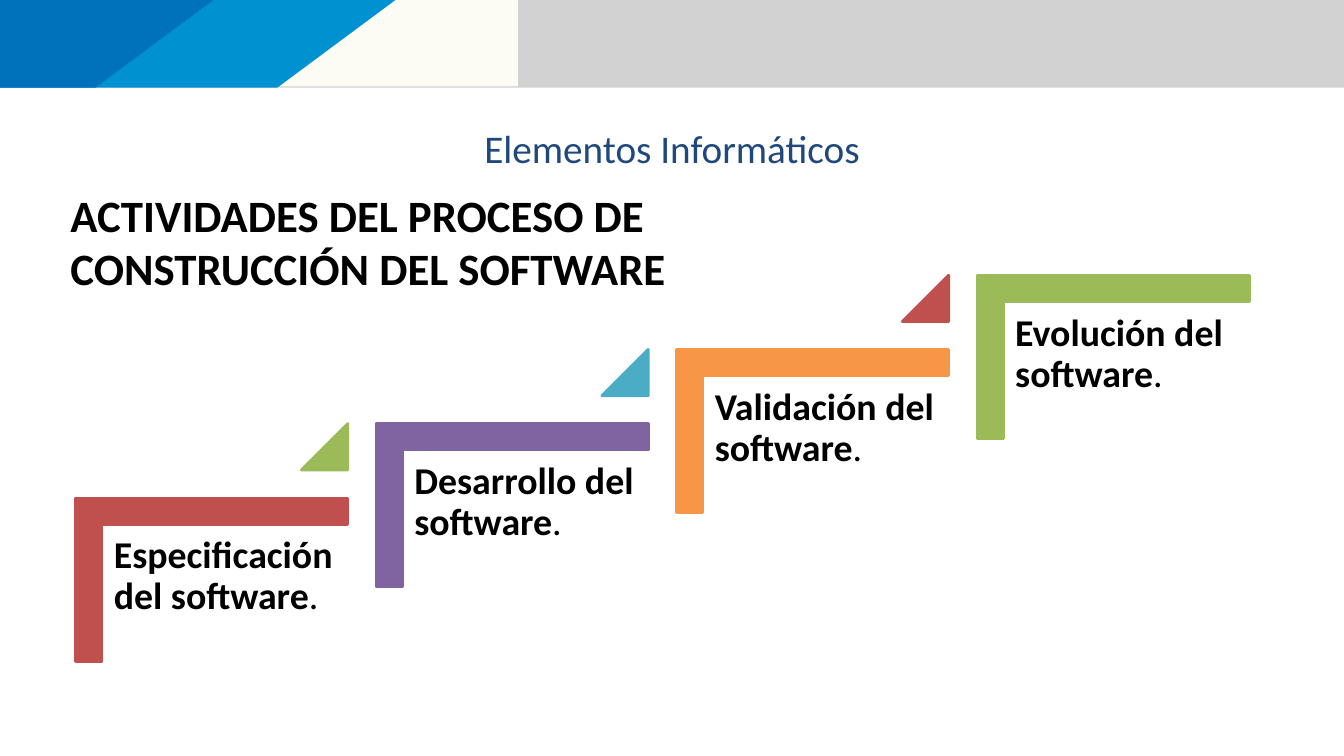
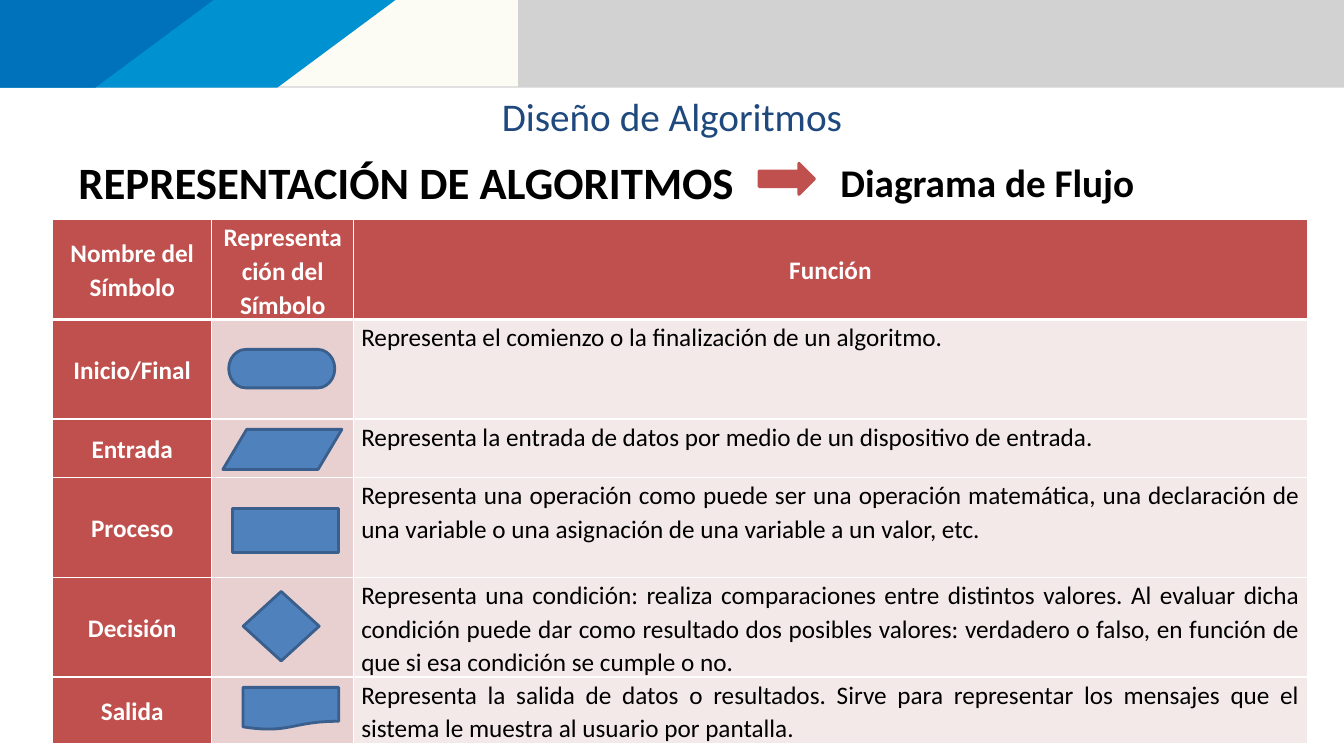
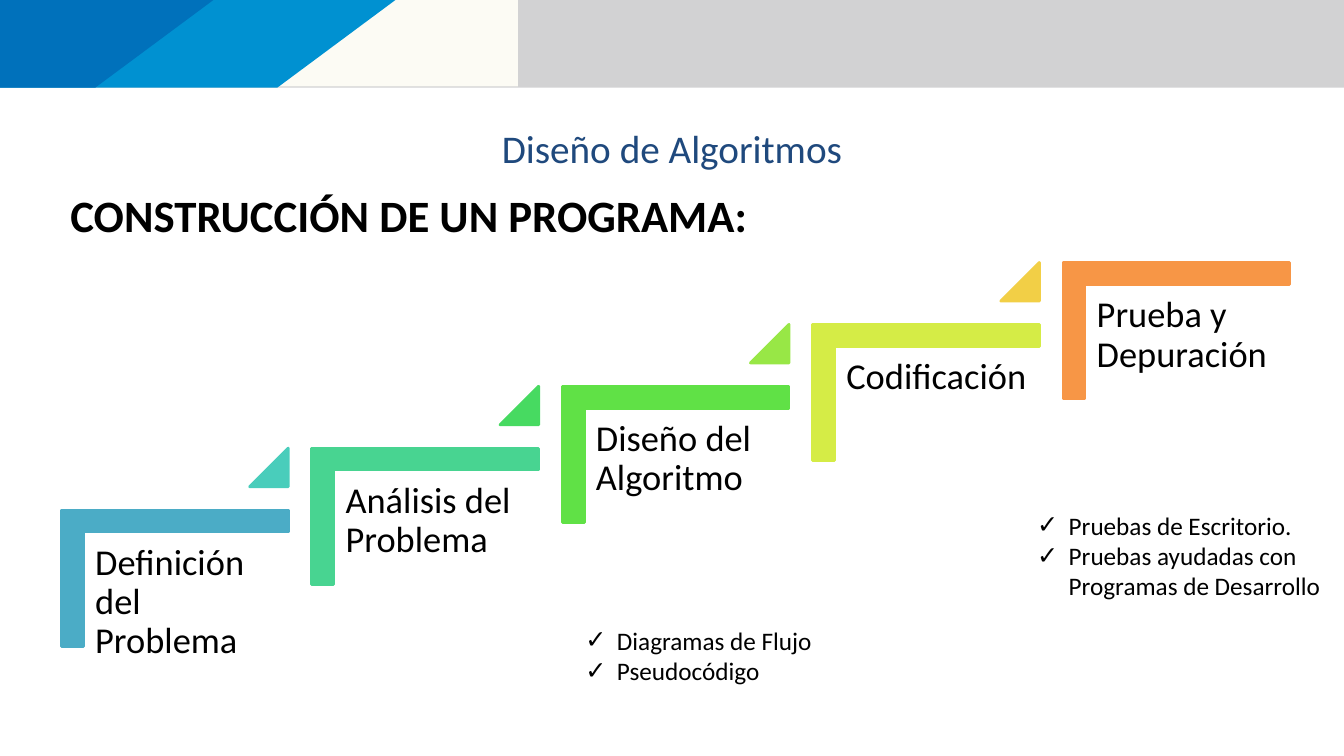
from dataclasses import dataclass
from typing import Optional

import lxml.etree
import pptx
import pptx.dml.color
import pptx.enum.shapes
import pptx.enum.text
import pptx.oxml.ns
import pptx.util

Pt = pptx.util.Pt
Shape = pptx.enum.shapes.MSO_SHAPE
Align = pptx.enum.text.PP_ALIGN
Anchor = pptx.enum.text.MSO_ANCHOR
AutoSize = pptx.enum.text.MSO_AUTO_SIZE
qn = pptx.oxml.ns.qn

FONT = "Calibri"
COLOURS = {
    "white": "FFFFFF", "black": "000000", "title": "1F497D",
    "grey": "D2D2D3", "cream": "FCFBF4", "sky": "0091D1", "blue": "0071BB",
    "red": "C0504D", "olive": "9BBB59", "purple": "8064A2",
    "aqua": "4BACC6", "orange": "F79646",
    "turquoise": "49CDBB", "mint": "48D491", "emerald": "47DA61",
    "green": "60E146", "lime": "98E746", "yellow": "D5EC46", "gold": "F2CF46",
    "symbol": "4F81BD", "symbol line": "3A5F8C",
    "rose": "E8D0D0", "pale rose": "F4E9E9",
}
SLIDE_WIDTH, SLIDE_HEIGHT = 960, 540
TITLE_LEFT, TITLE_WIDTH, TITLE_HEIGHT = 156, 648, 34
STAIR_INSET = 7.9
CHECK_INDENT = 22.5


@dataclass(frozen=True)
class Box:
    left: float
    top: float
    width: float
    height: float

    def lengths(self) -> tuple:
        return Pt(self.left), Pt(self.top), Pt(self.width), Pt(self.height)


@dataclass(frozen=True)
class Band:
    colour: str
    top_right: float
    bottom_right: float
    height: float


@dataclass(frozen=True)
class Step:
    text: str
    colour: str
    triangle_colour: Optional[str] = None


@dataclass(frozen=True)
class SymbolRow:
    name: str
    function: str
    height: float
    shape_type: Shape
    box: Box


BANDS = [
    Band("grey", SLIDE_WIDTH, SLIDE_WIDTH, 62.7),
    Band("cream", 370, 370, 61.7),
    Band("sky", 282.5, 198, 62.7),
    Band("blue", 152.5, 68, 62.7),
]
ACTIVITY_STEPS = [
    Step("Especificación del software", "red", "olive"),
    Step("Desarrollo del software", "purple", "aqua"),
    Step("Validación del software", "orange", "red"),
    Step("Evolución del software", "olive"),
]
PROGRAM_STEPS = [
    Step("Definición del Problema", "aqua", "turquoise"),
    Step("Análisis del Problema", "mint", "emerald"),
    Step("Diseño del Algoritmo", "green", "lime"),
    Step("Codificación", "yellow", "gold"),
    Step("Prueba y Depuración", "orange"),
]
TABLE_BOX = Box(37.7, 157, 896, 373.5)
TABLE_HEADER = ["Nombre del Símbolo", "Representación del Símbolo", "Función"]
HEADER_HEIGHT = 71
COLUMN_WIDTHS = [113.5, 101.5, 681]
SYMBOL_ROWS = [
    SymbolRow("Inicio/Final",
              "Representa el comienzo o la finalización de un algoritmo.",
              71, Shape.FLOWCHART_TERMINATOR, Box(163.4, 249.6, 75.8, 27.5)),
    SymbolRow("Entrada",
              "Representa la entrada de datos por medio de un dispositivo de entrada.",
              42, Shape.FLOWCHART_DATA, Box(159.2, 306.7, 85, 28.6)),
    SymbolRow("Proceso",
              "Representa una operación como puede ser una operación matemática, una "
              "declaración de una variable o una asignación de una variable a un valor, etc.",
              71, Shape.FLOWCHART_PROCESS, Box(165.9, 363.5, 75.8, 31)),
    SymbolRow("Decisión",
              "Representa una condición: realiza comparaciones entre distintos valores. Al "
              "evaluar dicha condición puede dar como resultado dos posibles valores: "
              "verdadero o falso, en función de que si esa condición se cumple o no.",
              71, Shape.DIAMOND, Box(173.7, 422.5, 54.3, 49.6)),
    SymbolRow("Salida",
              "Representa la salida de datos o resultados. Sirve para representar los "
              "mensajes que el sistema le muestra al usuario por pantalla.",
              47.5, Shape.FLOWCHART_DOCUMENT, Box(173.5, 491, 68.4, 30.2)),
]


def rgb(colour: str) -> pptx.dml.color.RGBColor:
    return pptx.dml.color.RGBColor.from_string(COLOURS[colour])


def set_font(paragraph, size: float, colour: str = "black", bold: Optional[bool] = False) -> None:
    paragraph.font.name = FONT
    paragraph.font.size = Pt(size)
    paragraph.font.color.rgb = rgb(colour)
    paragraph.font.bold = bold


def paint(shape, colour: str, line_colour: Optional[str] = None) -> None:
    shape.shadow.inherit = False
    shape.fill.solid()
    shape.fill.fore_color.rgb = rgb(colour)
    if line_colour:
        shape.line.color.rgb = rgb(line_colour)
        shape.line.width = Pt(2)
    else:
        shape.line.fill.background()


def place(shape, box: Box) -> None:
    shape.left, shape.top, shape.width, shape.height = box.lengths()


def set_insets(text_frame, inset: float) -> None:
    text_frame.margin_left = text_frame.margin_right = Pt(inset)
    text_frame.margin_top = text_frame.margin_bottom = Pt(inset)


def add_preset(slide, shape_type: Shape, box: Box, colour: str, line_colour: Optional[str] = None):
    shape = slide.shapes.add_shape(shape_type, *box.lengths())
    paint(shape, colour, line_colour)
    return shape


def add_band(slide, band: Band):
    if band.top_right == band.bottom_right:
        return add_preset(slide, Shape.RECTANGLE, Box(0, 0, band.top_right, band.height), band.colour)
    builder = slide.shapes.build_freeform(0, 0)
    builder.add_line_segments([
        (Pt(band.top_right), 0),
        (Pt(band.bottom_right), Pt(band.height)),
        (0, Pt(band.height)),
    ])
    shape = builder.convert_to_shape()
    paint(shape, band.colour)
    return shape


def move_bands_to_master(presentation, slide) -> None:
    master_tree = presentation.slide_master.shapes.element
    for index, band in enumerate(BANDS):
        element = add_band(slide, band).element
        element.nvSpPr.cNvPr.id = 20 + index
        master_tree.insert(2 + index, element)


def set_title(slide, text: str, top: float) -> None:
    title = slide.shapes.title
    place(title, Box(TITLE_LEFT, top, TITLE_WIDTH, TITLE_HEIGHT))
    text_frame = title.text_frame
    text_frame.text = text
    text_frame.auto_size = AutoSize.NONE
    text_frame.vertical_anchor = Anchor.TOP
    set_insets(text_frame, 0)
    paragraph = text_frame.paragraphs[0]
    paragraph.alignment = Align.CENTER
    set_font(paragraph, 28, "title")


def add_text_box(slide, box: Box, text: str, size: float, bold: Optional[bool] = False):
    text_frame = slide.shapes.add_textbox(*box.lengths()).text_frame
    text_frame.word_wrap = True
    text_frame.text = text
    set_font(text_frame.paragraphs[0], size, bold=bold)
    return text_frame


def add_stairs(slide, steps: list[Step], left: float, top: float, width: float,
               size: float, bold_with_full_stop: bool = False) -> None:
    height = 0.6 * width
    triangle_size = 0.17 * width
    rise = 0.2728 * width
    for index, step in enumerate(steps):
        step_left = left + index * 1.104 * width
        step_top = top - index * rise
        shift = (width - height) / 2
        corner = add_preset(slide, Shape.CORNER,
                            Box(step_left + shift, step_top - shift, height, width),
                            step.colour, step.colour)
        corner.rotation = 90
        corner.adjustments[0] = corner.adjustments[1] = 0.161

        label_box = Box(step_left + 0.1 * width, step_top + 0.1 * width, 0.9 * width, 0.79 * width)
        text_frame = add_text_box(slide, label_box, step.text, size,
                                  None if bold_with_full_stop else False)
        set_insets(text_frame, STAIR_INSET)
        paragraph = text_frame.paragraphs[0]
        paragraph.line_spacing = 0.9
        if bold_with_full_stop:
            paragraph.runs[0].font.bold = True
            full_stop = paragraph.add_run()
            full_stop.text = "."
            full_stop.font.bold = False

        if step.triangle_colour:
            triangle_box = Box(step_left + width - triangle_size, step_top - rise,
                               triangle_size, triangle_size)
            triangle = add_preset(slide, Shape.ISOSCELES_TRIANGLE, triangle_box,
                                  step.triangle_colour, step.triangle_colour)
            triangle.adjustments[0] = 1


def set_check_list(placeholder, box: Box, items: list[str]) -> None:
    place(placeholder, box)
    text_frame = placeholder.text_frame
    text_frame.text = "\n".join(items)
    text_frame.auto_size = AutoSize.NONE
    for paragraph in text_frame.paragraphs:
        paragraph.space_before = Pt(0)
        properties = paragraph._p.get_or_add_pPr()
        properties.set("marL", str(Pt(CHECK_INDENT)))
        properties.set("indent", str(-Pt(CHECK_INDENT)))
        lxml.etree.SubElement(properties, qn("a:buChar")).set("char", "✓")
        set_font(paragraph, 18)


def set_borders(cell, bottom_width: float) -> None:
    properties = cell._tc.get_or_add_tcPr()
    for side, width in {"lnL": 1, "lnR": 1, "lnT": 1, "lnB": bottom_width}.items():
        line = lxml.etree.SubElement(properties, qn(f"a:{side}"), w=str(Pt(width)))
        fill = lxml.etree.SubElement(line, qn("a:solidFill"))
        lxml.etree.SubElement(fill, qn("a:srgbClr"), val=COLOURS["white"])


def format_cell(cell, text: str, fill: str, is_label: bool, bottom_width: float = 1) -> None:
    set_borders(cell, bottom_width)
    cell.fill.solid()
    cell.fill.fore_color.rgb = rgb(fill)
    cell.margin_left = cell.margin_right = Pt(5.4)
    cell.margin_top = cell.margin_bottom = Pt(0)
    cell.vertical_anchor = Anchor.MIDDLE if is_label else Anchor.TOP
    cell.text = text
    paragraph = cell.text_frame.paragraphs[0]
    paragraph.alignment = Align.CENTER if is_label else Align.JUSTIFY
    paragraph.line_spacing = 1.1
    set_font(paragraph, 18, "white" if is_label else "black", is_label)


def add_symbol_table(slide) -> None:
    frame = slide.shapes.add_table(len(SYMBOL_ROWS) + 1, len(COLUMN_WIDTHS), *TABLE_BOX.lengths())
    table = frame.table
    table.horz_banding = False
    for column, width in zip(table.columns, COLUMN_WIDTHS):
        column.width = Pt(width)
    table.rows[0].height = Pt(HEADER_HEIGHT)
    for index, text in enumerate(TABLE_HEADER):
        format_cell(table.cell(0, index), text, "red", True, 3)
    for index, row in enumerate(SYMBOL_ROWS, start=1):
        table.rows[index].height = Pt(row.height)
        format_cell(table.cell(index, 0), row.name, "red", True)
        format_cell(table.cell(index, 1), "", "rose", False)
        format_cell(table.cell(index, 2), row.function, "pale rose", False)
    for row in SYMBOL_ROWS:
        add_preset(slide, row.shape_type, row.box, "symbol", "symbol line")


def build_activities_slide(slide) -> None:
    set_title(slide, "Elementos Informáticos", 88.5)
    add_text_box(slide, Box(43.2, 130.3, 516, 85),
                 "ACTIVIDADES DEL PROCESO DE CONSTRUCCIÓN DEL SOFTWARE", 32, True)
    add_stairs(slide, ACTIVITY_STEPS, 54, 355.7, 194.4, 27, True)


def build_symbols_slide(slide) -> None:
    set_title(slide, "Diseño de Algoritmos", 66)
    add_text_box(slide, Box(49, 107.3, 556.5, 46), "REPRESENTACIÓN DE ALGORITMOS", 32, True)
    add_text_box(slide, Box(593.3, 109.4, 324, 41), "Diagrama de Flujo", 28, True)
    add_symbol_table(slide)
    add_preset(slide, Shape.RIGHT_ARROW, Box(542.2, 116.6, 39.6, 22.3), "red", "red")


def build_program_slide(slide) -> None:
    set_title(slide, "Diseño de Algoritmos", 88.5)
    add_text_box(slide, Box(43.2, 130.3, 556.5, 46), "CONSTRUCCIÓN DE UN PROGRAMA:", 32, True)
    add_stairs(slide, PROGRAM_STEPS, 43.9, 364.3, 162, 26)
    set_check_list(slide.placeholders[1], Box(411, 442.8, 187, 51),
                   ["Diagramas de Flujo", "Pseudocódigo"])
    set_check_list(slide.placeholders[2], Box(733.7, 360.7, 224.6, 73),
                   ["Pruebas de Escritorio.", "Pruebas ayudadas con Programas de Desarrollo"])


def main() -> None:
    presentation = pptx.Presentation()
    presentation.slide_width = Pt(SLIDE_WIDTH)
    presentation.slide_height = Pt(SLIDE_HEIGHT)
    title_only = presentation.slide_layouts.get_by_name("Title Only")
    two_content = presentation.slide_layouts.get_by_name("Two Content")

    activities_slide = presentation.slides.add_slide(title_only)
    move_bands_to_master(presentation, activities_slide)
    build_activities_slide(activities_slide)
    build_symbols_slide(presentation.slides.add_slide(title_only))
    build_program_slide(presentation.slides.add_slide(two_content))
    presentation.save("out.pptx")


if __name__ == "__main__":
    main()
